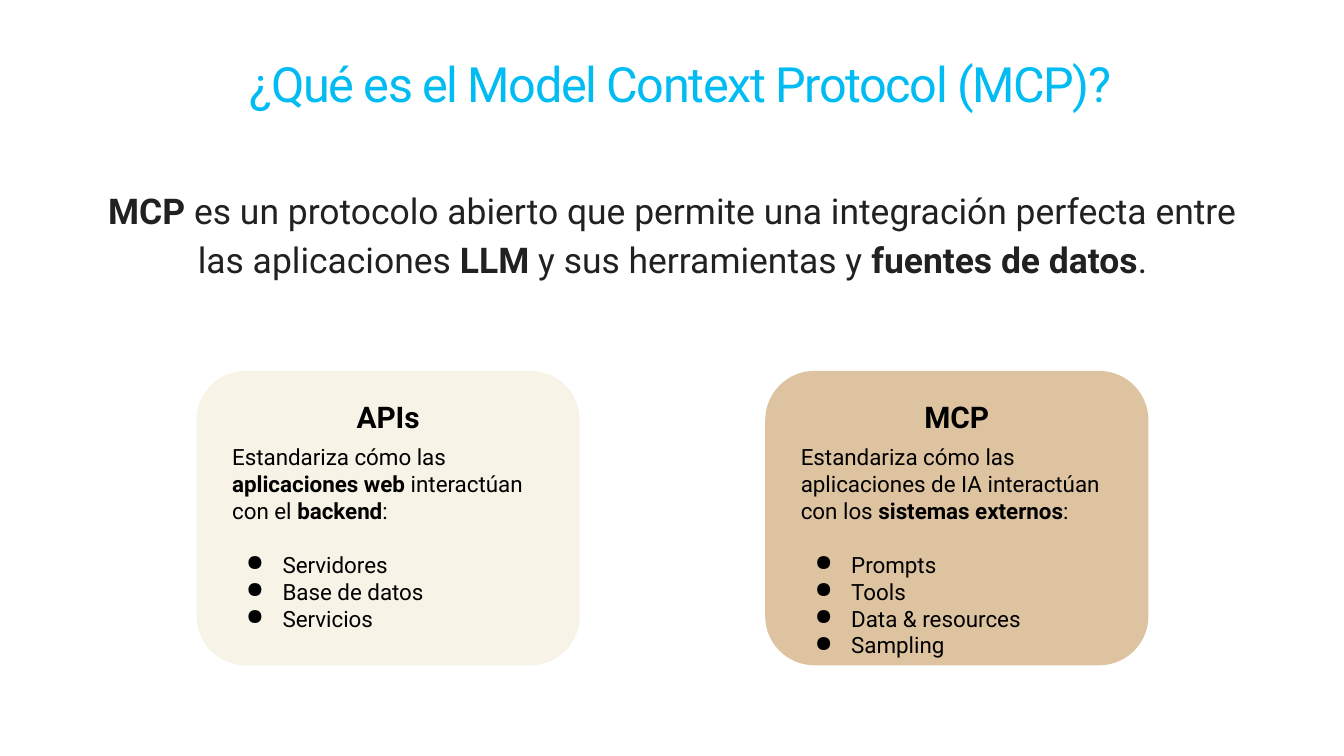
from pptx import Presentation
from pptx.dml.color import RGBColor
from pptx.enum.shapes import MSO_SHAPE
from pptx.enum.text import MSO_ANCHOR, MSO_AUTO_SIZE, PP_ALIGN
from pptx.util import Inches, Pt
from lxml import etree

ROUNDED = MSO_SHAPE.ROUNDED_RECTANGLE
CENTER, LEFT = PP_ALIGN.CENTER, PP_ALIGN.LEFT
TOP, MIDDLE, BOTTOM = MSO_ANCHOR.TOP, MSO_ANCHOR.MIDDLE, MSO_ANCHOR.BOTTOM
NO_AUTOFIT = MSO_AUTO_SIZE.NONE
COLORS = {"title": "00BCF2", "intro": "212121", "card_text": "000000",
          "apis": "F8F3E7", "mcp": "DEC3A0"}
DRAWING_NS = "http://schemas.openxmlformats.org/drawingml/2006/main"


def set_frame(frame, anchor, inset):
    frame.word_wrap = True
    frame.auto_size = NO_AUTOFIT
    frame.vertical_anchor = anchor
    frame.margin_left = frame.margin_right = Inches(inset)
    frame.margin_top = frame.margin_bottom = Inches(inset)


def write(paragraph, text, size, color, align, before=0):
    paragraph.alignment = align
    paragraph.space_before = Pt(before)
    paragraph.font.name = "Roboto"
    paragraph.font.size = Pt(size)
    paragraph.font.color.rgb = RGBColor.from_string(COLORS[color])
    for position, part in enumerate(text.split("**")):
        if part:
            run = paragraph.add_run()
            run.text = part
            run.font.bold = position % 2 == 1


prs = Presentation()
prs.slide_width = Inches(13.33)
prs.slide_height = Inches(7.5)
slide = prs.slides.add_slide(prs.slide_layouts[5])

title = slide.shapes.title
title.left, title.top = Inches(1.46), Inches(0.5)
title.width, title.height = Inches(10.58), Inches(0.72)
set_frame(title.text_frame, MIDDLE, 0)
question = title.text_frame.paragraphs[0]
write(question, "¿Qué es el Model Context Protocol (MCP)?", 34.7, "title", CENTER)
question.line_spacing = 0.9
question.runs[0].font._element.set("spc", "-100")

intro = slide.shapes.add_textbox(Inches(0.81), Inches(1.8), Inches(11.72), Inches(0.98))
set_frame(intro.text_frame, BOTTOM, 0)
definition = intro.text_frame.paragraphs[0]
write(definition,
      "**MCP** es un protocolo abierto que permite una integración perfecta entre "
      "las aplicaciones **LLM** y sus herramientas y **fuentes de datos**.",
      25.3, "intro", CENTER)
definition.line_spacing = 1.15

cards = [
    (1.95, "apis", "APIs",
     "Estandariza cómo las **aplicaciones web **interactúan con el **backend**:",
     ["Servidores", "Base de datos", "Servicios"]),
    (7.59, "mcp", "MCP",
     "Estandariza cómo las aplicaciones de IA interactúan con los **sistemas externos**:",
     ["Prompts", "Tools", "Data & resources", "Sampling"]),
]
for left, fill, heading, summary, items in cards:
    card = slide.shapes.add_shape(ROUNDED, Inches(left), Inches(3.68), Inches(3.8), Inches(2.92))
    card.adjustments[0] = 0.167
    card.shadow.inherit = False
    card.fill.solid()
    card.fill.fore_color.rgb = RGBColor.from_string(COLORS[fill])
    card.line.fill.background()
    frame = card.text_frame
    set_frame(frame, TOP, 0.13)
    write(frame.paragraphs[0], f"**{heading}**", 21.3, "card_text", CENTER)
    body = frame.add_paragraph()
    write(body, summary, 16, "card_text", LEFT, 6.7)
    body._p.get_or_add_pPr().set("marL", str(Inches(0.08)))
    for index, item in enumerate(items):
        bullet = frame.add_paragraph()
        write(bullet, item, 16, "card_text", LEFT, 19.2 if index == 0 else 0)
        properties = bullet._p.get_or_add_pPr()
        properties.set("marL", str(Inches(0.58)))
        properties.set("indent", str(Inches(-0.36)))
        mark = etree.Element(f"{{{DRAWING_NS}}}buChar", char="●")
        properties.find(f"{{{DRAWING_NS}}}defRPr").addprevious(mark)

prs.save("out.pptx")
